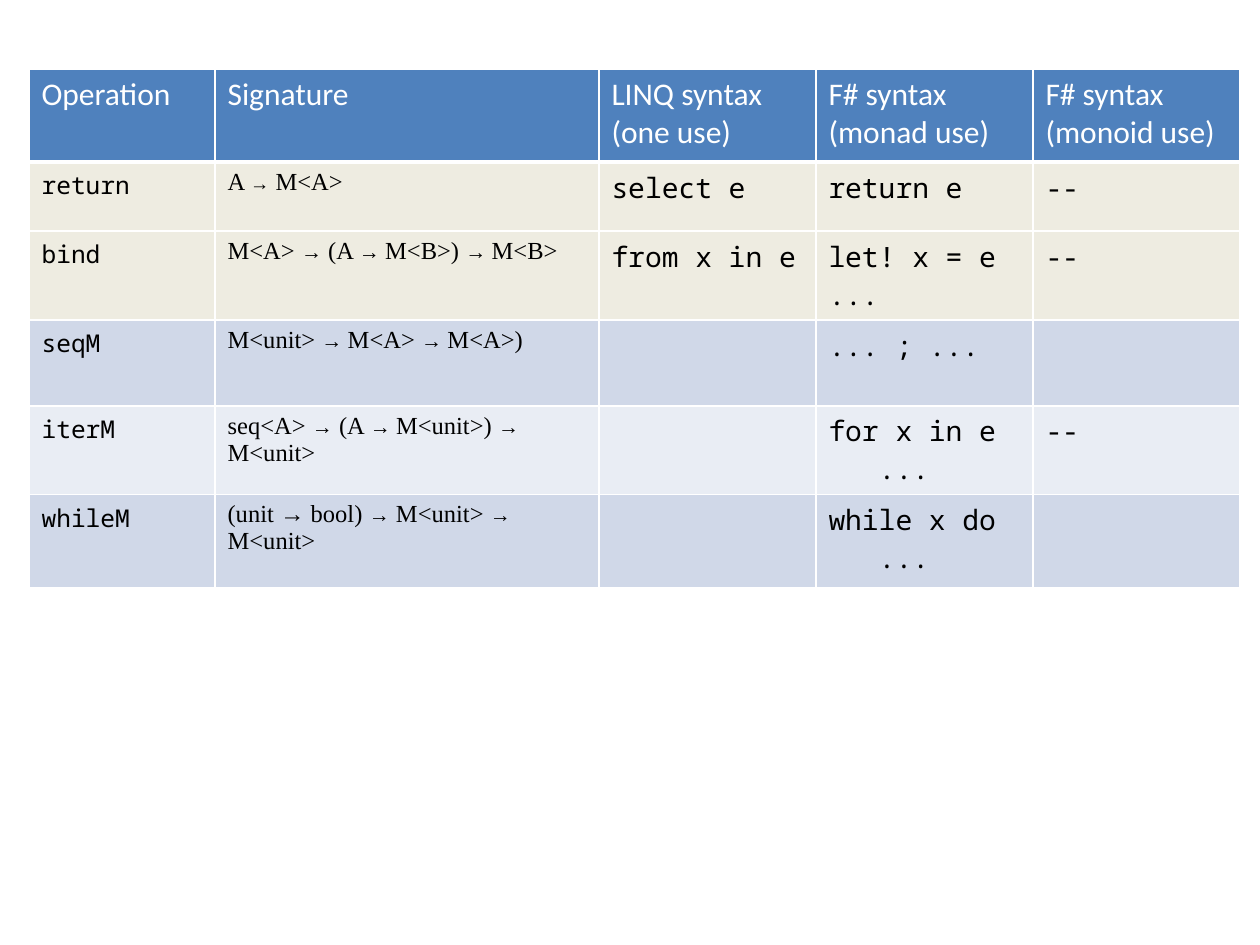
from lxml import etree
from pptx import Presentation
from pptx.dml.color import RGBColor
from pptx.oxml.ns import qn
from pptx.util import Pt

PX = 914400 // 126
SANS, MONO, SERIF = "Calibri", "Noto Sans Mono", "Times New Roman"
WHITE, BLACK = "FFFFFF", "000000"
HEADER_BLUE, CREAM, BLUE_BAND, PALE_BAND = "4F81BD", "EEECE1", "D0D8E8", "E9EDF4"

COLUMN_WIDTHS = [186, 384, 217, 217, 207]
HEADER_HEIGHT = 93
HEADINGS = ["Operation", "Signature", "LINQ syntax (one use)",
            "F# syntax\n(monad use)", "F# syntax\n(monoid use)"]

# Height, fill, arrow size, operation, signature, then the three syntaxes.
# In a signature, "|" sets off the small arrows.
OPERATIONS = [
    (69, CREAM, 11, "return", "A |→| M<A>", "select e", "return e", "--"),
    (89, CREAM, 12, "bind", "M<A> |→| (A |→ |M<B>) |→ |M<B>",
     "from x in e", "let! x = e\n...", "--"),
    (86, BLUE_BAND, 12, "seqM", "M<unit> |→ |M<A> |→ |M<A>)", "", "... ; ...", ""),
    (88, PALE_BAND, 12, "iterM", "seq<A> |→| (A |→ |M<unit>) |→| M<unit>",
     "", "for x in e\n   ...", "--"),
    (93, BLUE_BAND, 12, "whileM", "(unit → bool) |→| M<unit> |→ |M<unit>",
     "", "while x do\n   ...", ""),
]


def px(length):
    return length * PX


def color(hex_string):
    return RGBColor.from_string(hex_string)


def add_run(paragraph, text, *, size, font, ink=BLACK):
    run = paragraph.add_run()
    run.text = text
    run.font.size = Pt(size)
    run.font.name = font
    run.font.bold = False
    run.font.color.rgb = color(ink)


def write_lines(cell, text, **style):
    """Write each line of text as a paragraph."""
    frame = cell.text_frame
    for number, line in enumerate(text.split("\n")):
        paragraph = frame.add_paragraph() if number else frame.paragraphs[0]
        if line:
            add_run(paragraph, line, **style)


def write_signature(cell, signature, arrow_size):
    paragraph = cell.text_frame.paragraphs[0]
    for number, part in enumerate(signature.split("|")):
        add_run(paragraph, part, size=arrow_size if number % 2 else 14, font=SERIF)


def style_cell(cell, fill, bottom=1):
    """Draw white borders, in points, and fill the cell."""
    properties = cell._tc.get_or_add_tcPr()
    for side, width in (("L", 1), ("R", 1), ("T", 1), ("B", bottom)):
        line = etree.SubElement(properties, qn(f"a:ln{side}"), w=str(Pt(width)))
        solid = etree.SubElement(line, qn("a:solidFill"))
        etree.SubElement(solid, qn("a:srgbClr"), val=WHITE)
    cell.fill.solid()
    cell.fill.fore_color.rgb = color(fill)


def add_operations_table(slide, left, top):
    heights = [HEADER_HEIGHT] + [operation[0] for operation in OPERATIONS]
    table = slide.shapes.add_table(
        len(heights), len(COLUMN_WIDTHS), px(left), px(top),
        px(sum(COLUMN_WIDTHS)), px(sum(heights))).table
    for column, width in zip(table.columns, COLUMN_WIDTHS):
        column.width = px(width)
    for row, height in zip(table.rows, heights):
        row.height = px(height)

    for column, heading in enumerate(HEADINGS):
        cell = table.cell(0, column)
        style_cell(cell, HEADER_BLUE, bottom=3)
        write_lines(cell, heading, size=18, font=SANS, ink=WHITE)

    for row, operation in enumerate(OPERATIONS, start=1):
        _, fill, arrow_size, name, signature, *syntaxes = operation
        cells = [table.cell(row, column) for column in range(len(COLUMN_WIDTHS))]
        for cell in cells:
            style_cell(cell, fill)
        write_lines(cells[0], name, size=14, font=MONO)
        write_signature(cells[1], signature, arrow_size)
        for cell, syntax in zip(cells[2:], syntaxes):
            write_lines(cell, syntax, size=16, font=MONO)


def main():
    presentation = Presentation()
    presentation.slide_width = px(1260)
    presentation.slide_height = px(945)
    slide = presentation.slides.add_slide(presentation.slide_layouts[6])
    add_operations_table(slide, left=29, top=69)
    presentation.save("out.pptx")


if __name__ == "__main__":
    main()
